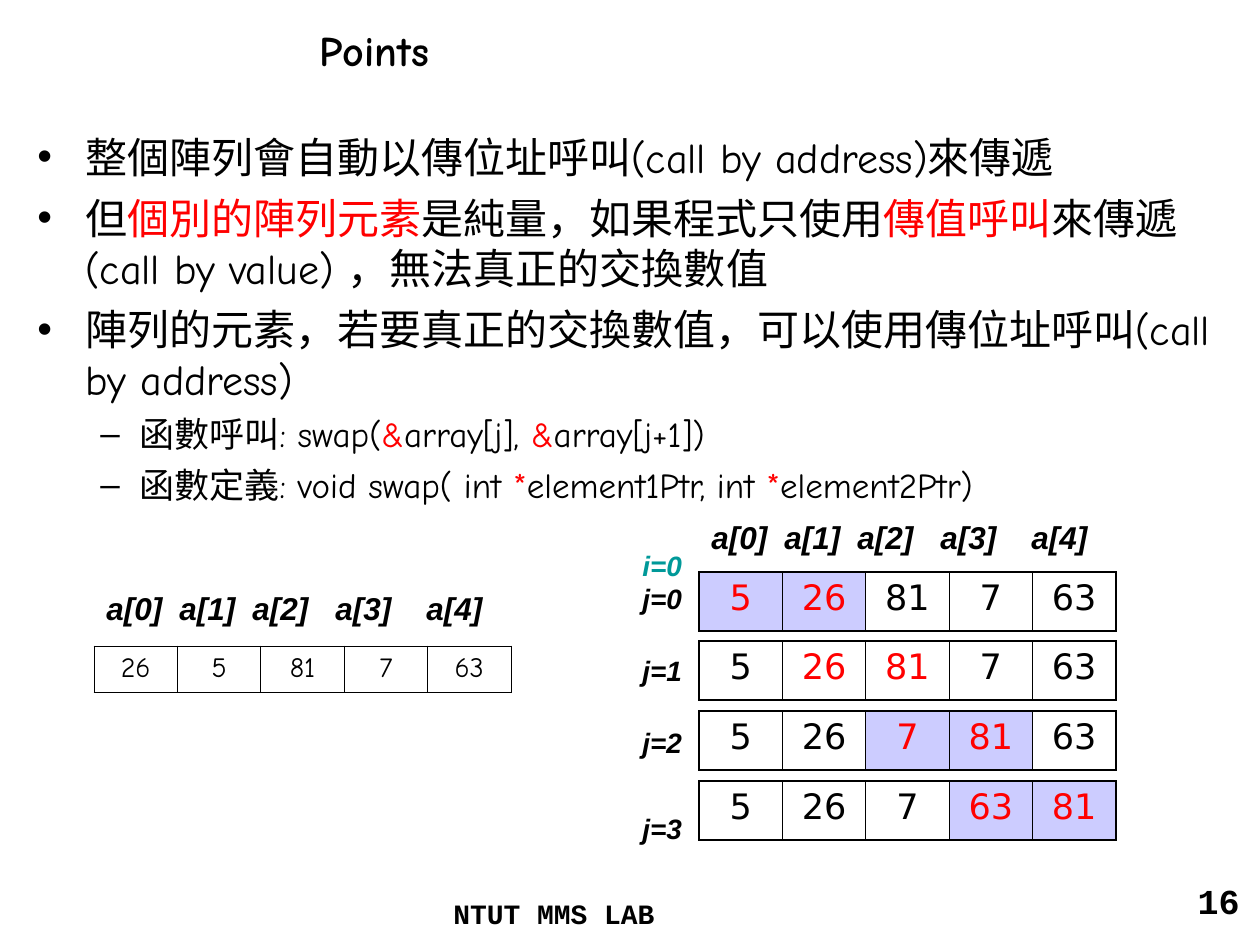
from lxml.etree import SubElement
from pptx import Presentation
from pptx.dml.color import RGBColor
from pptx.enum.text import MSO_ANCHOR, PP_ALIGN
from pptx.oxml.ns import qn
from pptx.util import Pt

PX = 914400 / 126
BLACK = RGBColor(0x00, 0x00, 0x00)
RED = RGBColor(0xFF, 0x00, 0x00)
TEAL = RGBColor(0x00, 0x99, 0x99)
LILAC = RGBColor(0xCC, 0xCC, 0xFF)

TITLE = {"name": "Comic Neue", "size": Pt(24), "bold": True}
POINT = {"name": "Comic Neue", "size": Pt(24)}
SUBPOINT = {"name": "Comic Neue", "size": Pt(20)}
FOOTER = {"name": "Courier New", "size": Pt(16), "bold": True}
NUMBER = {"name": "Courier New", "size": Pt(20), "bold": True}
INDEX = {"name": "Arial", "size": Pt(18), "bold": True, "italic": True}
STEP = {"name": "Arial", "size": Pt(16), "bold": True, "italic": True}
START_VALUE = {"name": "Comic Neue", "size": Pt(16)}
PASS_VALUE = {"name": "DejaVu Sans", "size": Pt(20)}

THIN, THICK = 0.45, 1.08
INDEX_TABS = (73, 146, 229, 320)
LEVELS = [
    {"style": POINT, "bullet": "•", "margin": 48, "hang": 48, "before": 6},
    {"style": SUBPOINT, "bullet": "–", "margin": 102, "hang": 39, "before": 5},
]
POINTS = [
    (0, [("整個陣列會自動以傳位址呼叫(call by address)來傳遞", BLACK)]),
    (0, [("但", BLACK), ("個別的陣列元素", RED), ("是純量，如果程式只使用", BLACK),
         ("傳值呼叫", RED), ("來傳遞(call by value) ，無法真正的交換數值", BLACK)]),
    (0, [("陣列的元素，若要真正的交換數值，可以使用傳位址呼叫(call by address)", BLACK)]),
    (1, [("函數呼叫: swap(", BLACK), ("&", RED), ("array[j], ", BLACK),
         ("&", RED), ("array[j+1])", BLACK)]),
    (1, [("函數定義: void swap( int ", BLACK), ("*", RED),
         ("element1Ptr, int ", BLACK), ("*", RED), ("element2Ptr)", BLACK)]),
]
STEPS = [("i=0", TEAL, 0), ("j=0", BLACK, 0), ("j=1", BLACK, 22),
         ("j=2", BLACK, 22), ("j=3", BLACK, 30)]
START = [26, 5, 81, 7, 63]
PASSES = [
    (572, [5, 26, 81, 7, 63], (0, 1), True),
    (641, [5, 26, 81, 7, 63], (1, 2), False),
    (711, [5, 26, 7, 81, 63], (2, 3), True),
    (781, [5, 26, 7, 63, 81], (3, 4), True),
]


def px(n):
    """Turn pixels into EMU."""
    return round(n * PX)


def add_run(p, text, style, color=BLACK):
    """Append a formatted run to a paragraph."""
    r = p.add_run()
    r.text = text
    for key, value in style.items():
        setattr(r.font, key, value)
    r.font.color.rgb = color
    SubElement(r.font._element, qn("a:ea"), typeface=style["name"])


def add_frame(s, box):
    """Add a wrapping text box and return its text frame."""
    tf = s.shapes.add_textbox(*map(px, box)).text_frame
    tf.word_wrap = True
    return tf


def add_line(s, box, text, style, align=PP_ALIGN.LEFT, anchor=MSO_ANCHOR.TOP):
    """Add a text box holding one line."""
    tf = add_frame(s, box)
    tf.vertical_anchor = anchor
    p = tf.paragraphs[0]
    p.alignment = align
    add_run(p, text, style)


def next_paragraph(tf, i, before):
    """Return paragraph i of a frame, spaced from the one above."""
    if i == 0:
        return tf.paragraphs[0]
    p = tf.add_paragraph()
    p.space_before = Pt(before)
    return p


def add_points(s, box):
    """Add the bulleted points."""
    tf = add_frame(s, box)
    for i, (level, runs) in enumerate(POINTS):
        look = LEVELS[level]
        p = next_paragraph(tf, i, look["before"])
        p.level = level
        pPr = p._p.get_or_add_pPr()
        pPr.set("marL", str(px(look["margin"])))
        pPr.set("indent", str(-px(look["hang"])))
        clr = SubElement(pPr, qn("a:buClr"))
        SubElement(clr, qn("a:srgbClr"), val=str(BLACK))
        SubElement(pPr, qn("a:buFont"), typeface="Arial")
        SubElement(pPr, qn("a:buChar"), char=look["bullet"])
        for text, color in runs:
            add_run(p, text, look["style"], color)


def add_indices(s, box):
    """Add the a[0] to a[4] heading, set out with tab stops."""
    p = add_frame(s, box).paragraphs[0]
    tabs = SubElement(p._p.get_or_add_pPr(), qn("a:tabLst"))
    for stop in INDEX_TABS:
        SubElement(tabs, qn("a:tab"), pos=str(px(stop)), algn="l")
    add_run(p, "\t".join(f"a[{i}]" for i in range(5)), INDEX)


def add_steps(s, box):
    """Add the loop counters beside the passes."""
    tf = add_frame(s, box)
    for i, (text, color, before) in enumerate(STEPS):
        add_run(next_paragraph(tf, i, before), text, STEP, color)


def set_borders(cell, widths):
    """Draw the left, right, top and bottom borders of a cell."""
    tcPr = cell._tc.get_or_add_tcPr()
    for side, width in zip("LRTB", widths):
        ln = SubElement(tcPr, qn(f"a:ln{side}"), w=str(Pt(width)))
        fill = SubElement(ln, qn("a:solidFill"))
        SubElement(fill, qn("a:srgbClr"), val=str(BLACK))


def add_array(s, box, values, style, edge, active=(), shaded=False):
    """Add an array as a one-row table, with its active cells in red."""
    table = s.shapes.add_table(1, len(values), *map(px, box)).table
    table.first_row = table.horz_banding = False
    last = len(values) - 1
    for i, value in enumerate(values):
        table.columns[i].width = px(box[2] / len(values))
        cell = table.cell(0, i)
        set_borders(cell, (edge if i == 0 else THIN,
                           edge if i == last else THIN, edge, edge))
        if shaded and i in active:
            cell.fill.solid()
            cell.fill.fore_color.rgb = LILAC
        else:
            cell.fill.background()
        p = cell.text_frame.paragraphs[0]
        p.alignment = PP_ALIGN.CENTER
        add_run(p, str(value), style, RED if i in active else BLACK)


def add_start(s, x, y):
    """Add the starting array under its indices."""
    add_indices(s, (x, y, 407, 50))
    add_array(s, (x, y + 63, 417, 46), START, START_VALUE, THIN)


def add_passes(s, x, y):
    """Add the array after each comparison, with indices and counters."""
    for top, values, active, shaded in PASSES:
        add_array(s, (x, top, 417, 59), values, PASS_VALUE, THICK, active, shaded)
    add_indices(s, (x, y, 407, 50))
    add_steps(s, (x - 69, y + 30, 89, 305))


def main():
    """Build the slide and save it."""
    prs = Presentation()
    prs.slide_width, prs.slide_height = px(1260), px(945)
    s = prs.slides.add_slide(prs.slide_layouts[6])
    add_line(s, (307, 0, 953, 100), "Points", TITLE, anchor=MSO_ANCHOR.MIDDLE)
    add_points(s, (25, 125, 1221, 733))
    add_line(s, (441, 890, 408, 40), "NTUT MMS LAB", FOOTER)
    add_line(s, (958, 873, 294, 66), "16", NUMBER, PP_ALIGN.RIGHT)
    add_passes(s, 699, 512)
    add_start(s, 94, 583)
    prs.save("out.pptx")


if __name__ == "__main__":
    main()
